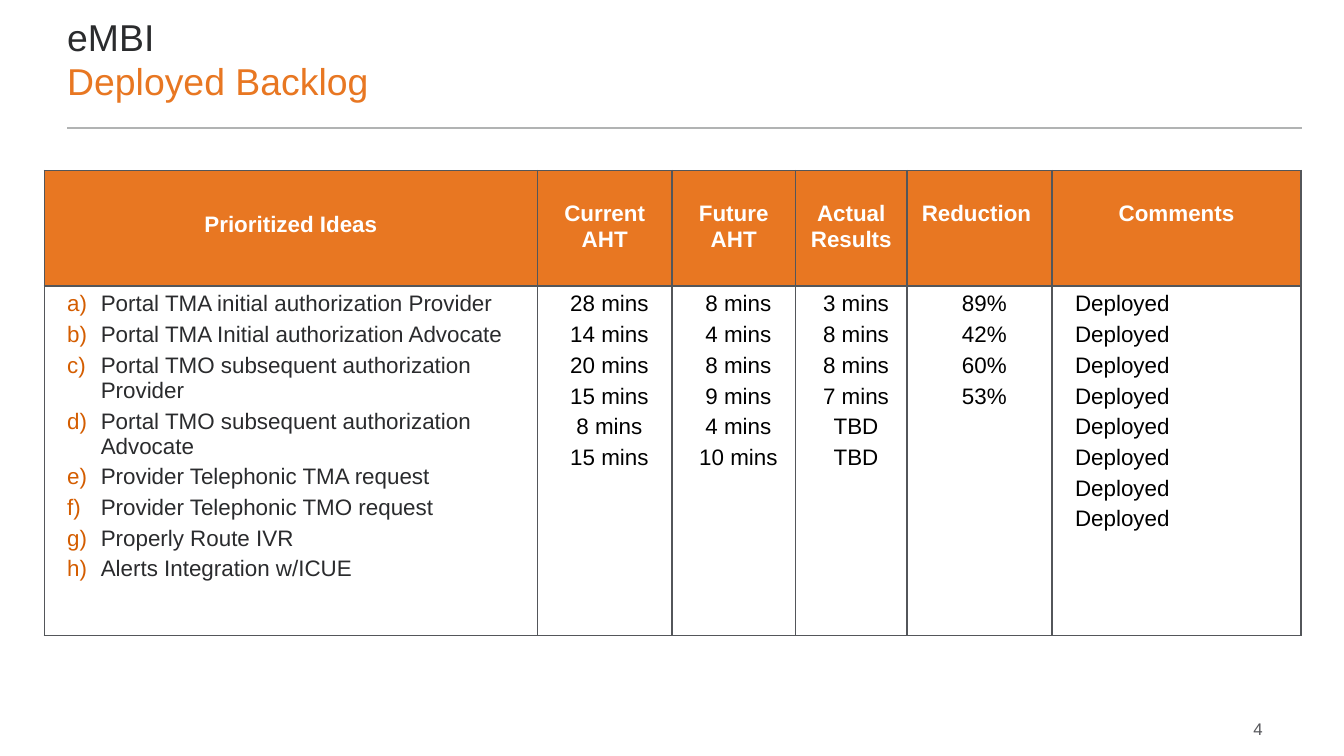
from lxml import etree
from pptx import Presentation
from pptx import util as u
from pptx.dml.color import RGBColor
from pptx.enum import shapes, text
from pptx.oxml import ns

INK = RGBColor(0x2A, 0x2B, 0x2D)
ORANGE = RGBColor(0xE8, 0x77, 0x22)
RUST = RGBColor(0xD4, 0x5D, 0x00)
GREY = RGBColor(0x55, 0x56, 0x5A)
BORDER = RGBColor(0x53, 0x56, 0x5A)
RULE = RGBColor(0xB1, 0xB3, 0xB3)
WHITE = RGBColor(0xFF, 0xFF, 0xFF)
BLACK = RGBColor(0x00, 0x00, 0x00)
CENTER, LEFT = text.PP_ALIGN.CENTER, text.PP_ALIGN.LEFT

IDEAS = [
    "Portal TMA initial authorization Provider",
    "Portal TMA Initial authorization Advocate",
    "Portal TMO subsequent authorization Provider",
    "Portal TMO subsequent authorization Advocate",
    "Provider Telephonic TMA request",
    "Provider Telephonic TMO request",
    "Properly Route IVR",
    "Alerts Integration w/ICUE",
]
COLUMNS = [
    (3.67, ["Prioritized Ideas"], IDEAS),
    (1.00, ["Current AHT"],
     ["28 mins", "14 mins", "20 mins", "15 mins", "8 mins", "15 mins"]),
    (0.92, ["Future AHT"],
     ["8 mins", "4 mins", "8 mins", "9 mins", "4 mins", "10 mins"]),
    (0.83, ["Actual", "Results"],
     ["3 mins", "8 mins", "8 mins", "7 mins", "TBD", "TBD"]),
    (1.08, ["Reduction "], ["89%", "42%", "60%", "53%"]),
    (1.85, ["Comments"], ["Deployed"] * len(IDEAS)),
]


def add_xml(parent, tag, **attrs):
    return etree.SubElement(parent, ns.qn(tag), attrs)


class Deck:
    font = "Arial"

    def __init__(self, width):
        self.prs = Presentation()
        self.prs.slide_width = u.Inches(width)
        self.prs.slide_height = u.Inches(width * 9 / 16)
        self.s = self.prs.slides.add_slide(self.prs.slide_layouts[5])

    def style(self, font, size, color, bold=False):
        font.name, font.size, font.bold = self.font, u.Pt(size), bold
        font.color.rgb = color

    def box(self, sp, left, top, width, height):
        sp.left, sp.top = u.Inches(left), u.Inches(top)
        sp.width, sp.height = u.Inches(width), u.Inches(height)

    def frame(self, tf, anchor):
        tf.margin_left = tf.margin_right = tf.margin_top = tf.margin_bottom = 0
        tf.word_wrap = True
        tf.auto_size = text.MSO_AUTO_SIZE.NONE
        tf.vertical_anchor = anchor

    def title(self, lines, *box):
        sp = self.s.shapes.title
        self.box(sp, *box)
        self.frame(sp.text_frame, text.MSO_ANCHOR.MIDDLE)
        p = sp.text_frame.paragraphs[0]
        p.alignment = LEFT
        for i, (line, color) in enumerate(lines):
            if i:
                p.add_line_break()
            r = p.add_run()
            r.text = line
            self.style(r.font, 20, color)

    def rule(self, left, right, y):
        sp = self.s.shapes.add_connector(
            shapes.MSO_CONNECTOR.STRAIGHT,
            u.Inches(left), u.Inches(y), u.Inches(right), u.Inches(y))
        sp.line.color.rgb, sp.line.width = RULE, u.Pt(1)
        add_xml(sp._element.spPr, "a:effectLst")

    def page_number(self, number, *box):
        sp = self.s.shapes.add_shape(
            shapes.MSO_SHAPE.RECTANGLE, *map(u.Inches, box))
        sp.shadow.inherit = False
        sp.fill.solid()
        sp.fill.fore_color.rgb = WHITE
        sp.line.fill.background()
        self.frame(sp.text_frame, text.MSO_ANCHOR.TOP)
        p = sp.text_frame.paragraphs[0]
        p.text, p.alignment = number, CENTER
        self.style(p.font, 9, GREY)

    def number_list(self, p):
        pPr = p._p.get_or_add_pPr()
        add_xml(add_xml(pPr, "a:buClr"), "a:srgbClr", val=str(RUST))
        add_xml(pPr, "a:buFont", typeface="+mj-lt")
        add_xml(pPr, "a:buAutoNum", type="alphaLcParenR")

    def indent(self, p, left, first):
        pPr = p._p.get_or_add_pPr()
        pPr.set("marL", str(u.Inches(left)))
        pPr.set("indent", str(u.Inches(first)))

    def cell(self, cell, fill, top):
        cell.margin_left = cell.margin_right = u.Inches(0.1)
        cell.margin_top, cell.margin_bottom = u.Inches(top), u.Inches(0.04)
        tcPr = cell._tc.get_or_add_tcPr()
        for side in "LRTB":
            ln = add_xml(tcPr, f"a:ln{side}", w=str(u.Pt(1)))
            add_xml(add_xml(ln, "a:solidFill"), "a:srgbClr", val=str(BORDER))
        cell.fill.solid()
        cell.fill.fore_color.rgb = fill

    def paragraphs(self, cell, lines):
        tf = cell.text_frame
        tf.text = "\n".join(lines)
        return tf.paragraphs

    def header(self, cell, lines, top):
        self.cell(cell, ORANGE, top)
        for p in self.paragraphs(cell, lines):
            p.alignment = CENTER
            self.style(p.font, 12, WHITE, True)

    def body(self, cell, lines, align, color, numbered):
        self.cell(cell, WHITE, 0.04)
        for i, p in enumerate(self.paragraphs(cell, lines)):
            p.level, p.alignment = 1, align
            if i:
                p.space_before = u.Pt(3)
            if numbered:
                self.indent(p, 0.32, -0.25)
                self.number_list(p)
            else:
                self.indent(p, 0.07, 0)
            self.style(p.font, 12, color)

    def table(self, columns, heights, left, top):
        width = sum(c[0] for c in columns)
        tbl = self.s.shapes.add_table(
            len(heights), len(columns), u.Inches(left), u.Inches(top),
            u.Inches(width), u.Inches(sum(heights))).table
        tbl.first_row = tbl.horz_banding = False
        for row, height in zip(tbl.rows, heights):
            row.height = u.Inches(height)
        last = len(columns) - 1
        for i, (width, heading, lines) in enumerate(columns):
            tbl.columns[i].width = u.Inches(width)
            numbered = i == 0
            self.header(tbl.cell(0, i), heading, 0.31 if numbered else 0.23)
            self.body(tbl.cell(1, i), lines, LEFT if i in (0, last) else CENTER,
                      INK if numbered else BLACK, numbered)


def main():
    deck = Deck(10)
    deck.rule(0.5, 9.69, 0.95)
    deck.title([("eMBI", INK), ("Deployed Backlog", ORANGE)], 0.5, 0.07, 7.25, 0.73)
    deck.table(COLUMNS, [0.86, 2.6], 0.33, 1.27)
    deck.page_number("4", 9.19, 5.35, 0.34, 0.19)
    deck.prs.save("out.pptx")


if __name__ == "__main__":
    main()
